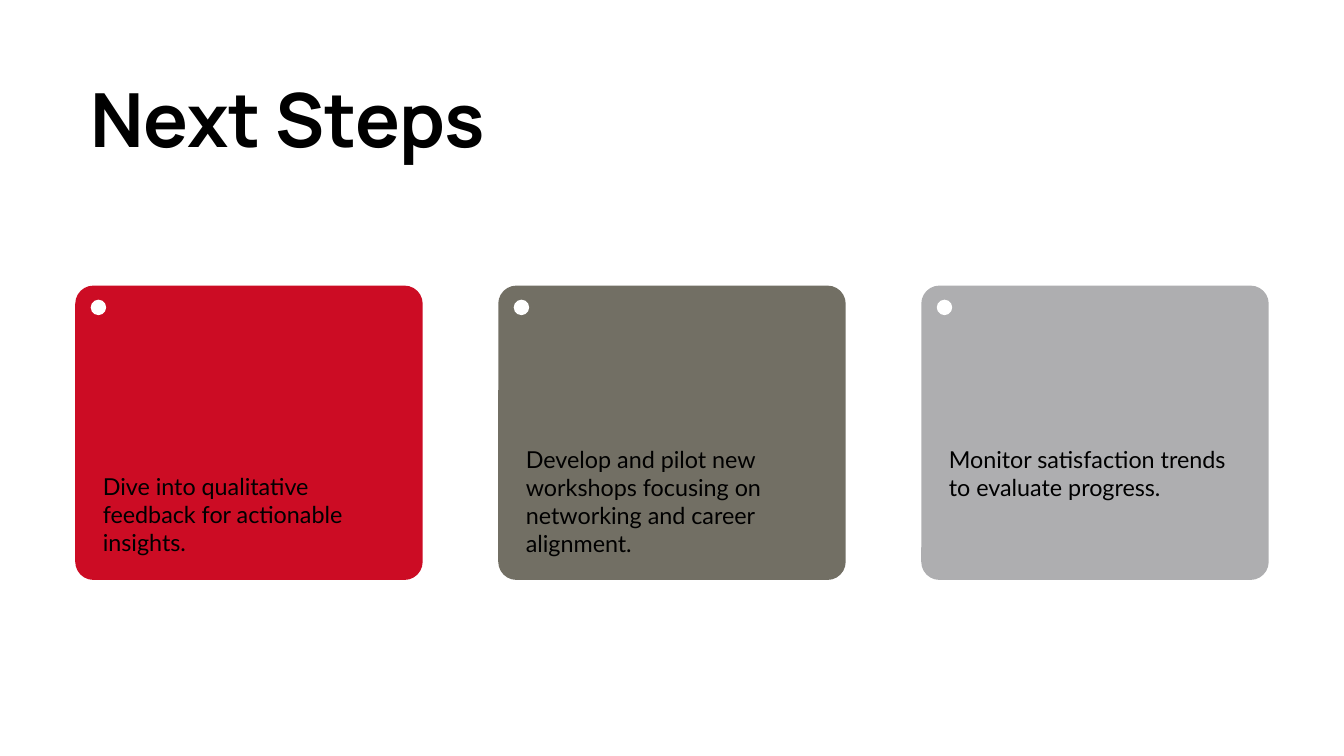
"""Build the Next Steps slide with three cards."""
from pptx import Presentation
from pptx.dml.color import RGBColor
from pptx.enum.shapes import MSO_SHAPE as SHAPE
from pptx.enum.text import MSO_AUTO_SIZE as AUTO
from pptx.util import Inches, Pt

COLORS = {"red": "CC0C24", "olive": "726F64", "gray": "AEAEB0",
          "white": "FFFFFF", "black": "000000"}
CARDS = [
    ("red", 7.03, 1.22, "Dive into qualitative feedback for actionable insights."),
    ("olive", 6.62, 1.62, "Develop and pilot new workshops focusing on networking and career alignment."),
    ("gray", 6.62, 1.62, "Monitor satisfaction trends to evaluate progress."),
]
LEFT, TOP, WIDTH, HEIGHT, PITCH = 1.12, 4.25, 5.17, 4.38, 6.295
RADIUS = 0.27


def add_shape(kind, x, y, w, h, color):
    sp = s.shapes.add_shape(kind, Inches(x), Inches(y), Inches(w), Inches(h))
    sp.shadow.inherit = False
    sp.fill.solid()
    sp.fill.fore_color.rgb = RGBColor.from_string(COLORS[color])
    sp.line.fill.background()
    return sp


def add_text(x, y, w, h, text, font, size, leading, bold=False):
    tf = s.shapes.add_textbox(Inches(x), Inches(y), Inches(w), Inches(h)).text_frame
    tf.word_wrap = True
    tf.auto_size = AUTO.SHAPE_TO_FIT_TEXT
    tf.margin_left = tf.margin_top = tf.margin_right = tf.margin_bottom = 0
    tf.text = text
    p = tf.paragraphs[0]
    p.line_spacing = Pt(leading)
    r = p.runs[0]
    r.font.name = font
    r.font.size = Pt(size)
    r.font.bold = bold
    r.font.color.rgb = RGBColor.from_string(COLORS["black"])


prs = Presentation()
prs.slide_width = Inches(20)
prs.slide_height = Inches(11.25)
s = prs.slides.add_slide(prs.slide_layouts[6])

add_text(LEFT, 1.2, 17.75, 1.26, " Next Steps", "Manrope", 80, 88, bold=True)

for i, (color, text_top, text_height, text) in enumerate(CARDS):
    x = LEFT + i * PITCH
    card = add_shape(SHAPE.ROUNDED_RECTANGLE, x, TOP, WIDTH, HEIGHT, color)
    card.adjustments[0] = RADIUS / HEIGHT
    add_shape(SHAPE.OVAL, x + 0.23, TOP + 0.21, 0.23, 0.23, "white")
    add_text(x + 0.41, text_top, 4.39, text_height, text, "Lato", 25, 30)

prs.save("out.pptx")
